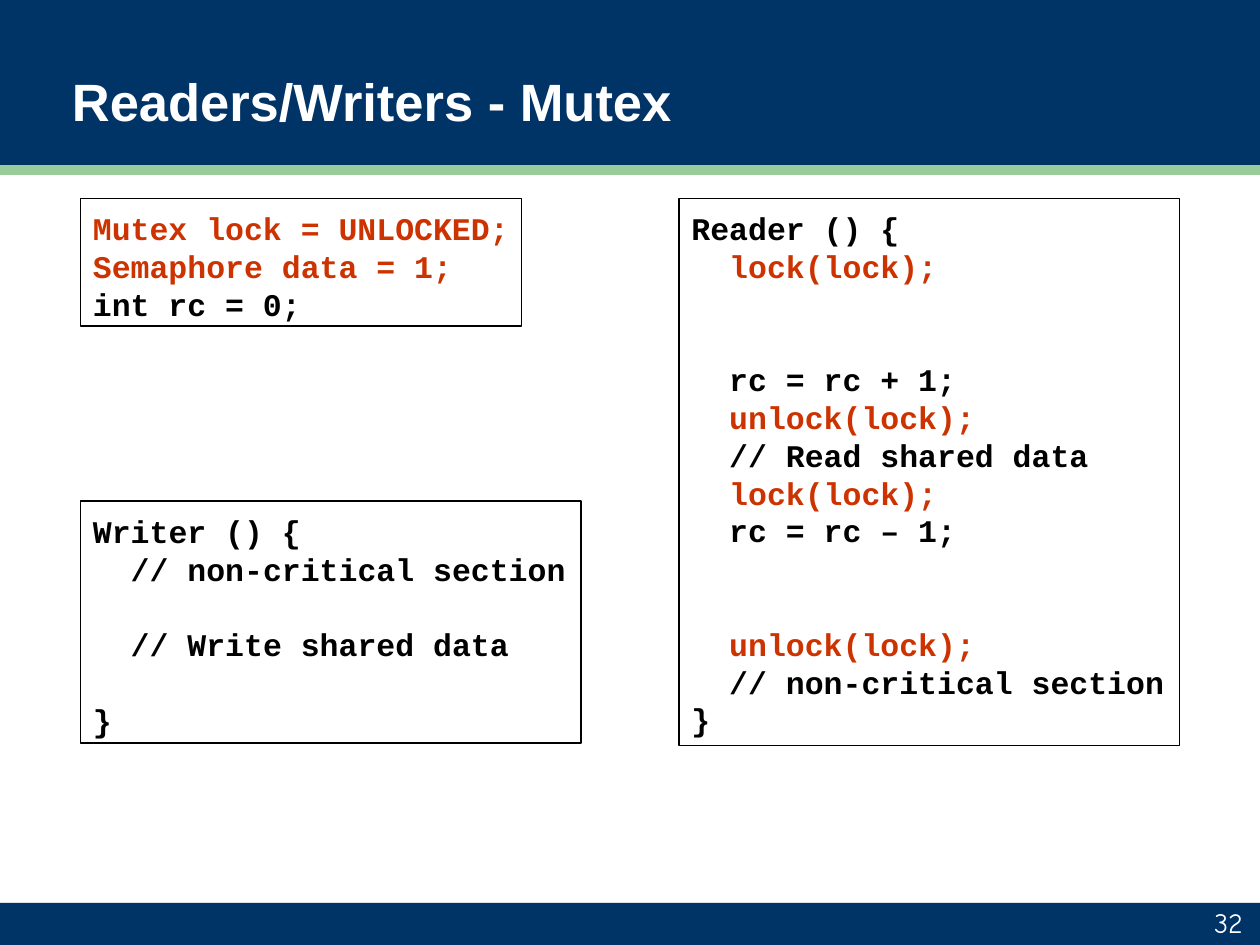
from pptx import Presentation
from pptx.dml.color import RGBColor
from pptx.enum.shapes import MSO_SHAPE
from pptx.enum.text import MSO_ANCHOR, PP_ALIGN
from pptx.util import Pt

RECTANGLE = MSO_SHAPE.RECTANGLE
TOP, MIDDLE, BOTTOM = MSO_ANCHOR.TOP, MSO_ANCHOR.MIDDLE, MSO_ANCHOR.BOTTOM
LEFT, RIGHT = PP_ALIGN.LEFT, PP_ALIGN.RIGHT

NAVY, GREEN, WHITE, BLACK, RED = "003366", "99CC99", "FFFFFF", "000000", "CC3300"
CODE_PITCH = 21.6
SYNC_WORDS = ("Mutex", "Semaphore", "lock(", "unlock(")

READER = """Reader () {
  lock(lock);


  rc = rc + 1;
  unlock(lock);
  // Read shared data
  lock(lock);
  rc = rc – 1;


  unlock(lock);
  // non-critical section
}"""

SHARED = """Mutex lock = UNLOCKED;
Semaphore data = 1;
int rc = 0;"""

WRITER = """Writer () {
  // non-critical section

  // Write shared data

}"""


def color(value):
    return RGBColor.from_string(value)


def apply(target, values):
    for name, value in values.items():
        setattr(target, name, value)


class SlideBuilder:
    title_font = {"name": "Arial", "size": Pt(30), "bold": True}
    code_font = {"name": "Courier New", "size": Pt(18), "bold": True}
    number_font = {"name": "Comic Neue", "size": Pt(16), "bold": False}

    def __init__(self, deck):
        self.slide = deck.slides.add_slide(deck.slide_layouts[6])

    def rectangle(self, *place):
        box = self.slide.shapes.add_shape(RECTANGLE, *map(Pt, place))
        box.shadow.inherit = False
        return box

    def band(self, top, height, fill):
        box = self.rectangle(0, top, 720, height)
        box.fill.solid()
        box.fill.fore_color.rgb = color(fill)
        box.line.fill.background()

    def add_span(self, para, text, font, ink):
        span = para.add_run()
        span.text = text
        apply(span.font, font)
        span.font.color.rgb = color(ink)

    def label(self, place, text, font, anchor, align):
        box = self.slide.shapes.add_textbox(*map(Pt, place))
        apply(box.text_frame, {"word_wrap": True, "vertical_anchor": anchor})
        para = box.text_frame.paragraphs[0]
        para.alignment = align
        self.add_span(para, text, font, WHITE)

    def code(self, place, text):
        box = self.rectangle(*place)
        box.fill.background()
        box.line.color.rgb = color(BLACK)
        box.line.width = Pt(1)
        frame = box.text_frame
        apply(frame, {"word_wrap": True, "vertical_anchor": TOP,
                      "margin_top": Pt(6), "margin_right": 0})
        para, skipped = frame.paragraphs[0], 0
        for number, line in enumerate(text.splitlines()):
            if not line:
                skipped += 1
                continue
            if number:
                para = frame.add_paragraph()
            apply(para, {"alignment": LEFT, "line_spacing": Pt(CODE_PITCH),
                         "space_before": Pt(skipped * CODE_PITCH)})
            ink = RED if line.lstrip().startswith(SYNC_WORDS) else BLACK
            self.add_span(para, line, self.code_font, ink)
            skipped = 0


def main():
    deck = Presentation()
    apply(deck, {"slide_width": Pt(720), "slide_height": Pt(540)})
    page = SlideBuilder(deck)
    page.band(0, 100, NAVY)
    page.band(94.3, 5.7, GREEN)
    page.band(516, 24, NAVY)
    page.label((34, 12.25, 686, 90), "Readers/Writers - Mutex",
               page.title_font, MIDDLE, LEFT)
    page.label((567.4, 517, 149.8, 23), "32", page.number_font, BOTTOM, RIGHT)
    page.code((388, 113.5, 286, 312.5), READER)
    page.code((46, 113.5, 252, 73), SHARED)
    page.code((46, 286.5, 286, 138), WRITER)
    deck.save("out.pptx")


if __name__ == "__main__":
    main()
